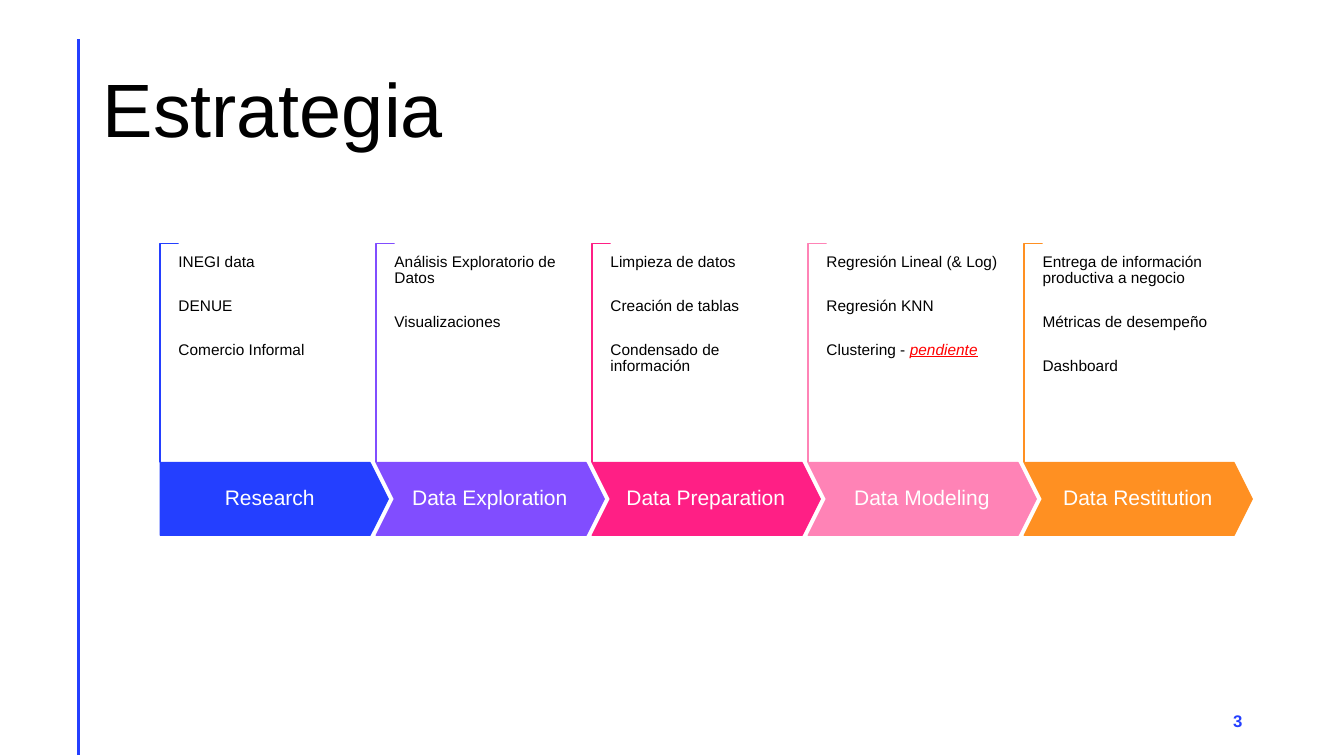
from dataclasses import dataclass
from pptx import Presentation
from pptx.dml.color import RGBColor as Rgb
from pptx.enum.shapes import MSO_CONNECTOR as Conn, MSO_SHAPE as Geo
from pptx.enum.text import MSO_ANCHOR as Anchor, PP_ALIGN as Align
from pptx.oxml.xmlchemy import OxmlElement as Node
from pptx.util import Inches, Pt


@dataclass(frozen=True)
class Theme:
    font: str = "Arial"
    ink: str = "000000"
    paper: str = "FFFFFF"
    blue: str = "243FFF"
    violet: str = "814DFF"
    pink: str = "FF1F85"
    rose: str = "FF83B6"
    orange: str = "FF9022"
    alert: str = "FF0000"
    title: int = 54
    label: int = 15
    page: int = 12
    body: int = 11


class Deck:
    def __init__(self, theme):
        self.theme = theme
        self.file = Presentation()
        self.file.slide_width = Inches(13.33)
        self.file.slide_height = Inches(7.5)
        self.slide = self.file.slides.add_slide(self.file.slide_layouts[6])

    def line(self, start, end, color, width):
        ends = [Inches(v) for v in (*start, *end)]
        line = self.slide.shapes.add_connector(Conn.STRAIGHT, *ends)
        line.line.color.rgb = Rgb.from_string(color)
        line.line.width = Pt(width)
        line._element.spPr.append(Node("a:effectLst"))

    def shape(self, kind, box, adjust, fill, edge, turn=0):
        shape = self.slide.shapes.add_shape(kind, *[Inches(v) for v in box])
        for i, value in enumerate(adjust):
            shape.adjustments[i] = value
        shape.rotation = turn
        shape.shadow.inherit = False
        shape.fill.solid()
        shape.fill.fore_color.rgb = Rgb.from_string(fill)
        shape.line.color.rgb = Rgb.from_string(edge)
        shape.line.width = Pt(1)

    def text(self, box, paras, size, color, align=Align.LEFT,
             anchor=Anchor.MIDDLE, inset=(0.1, 0.05), gap=0, lead=0.9):
        """Each paragraph is a list of (text, style) runs."""
        frame = self.slide.shapes.add_textbox(*[Inches(v) for v in box]).text_frame
        frame.word_wrap = True
        frame.vertical_anchor = anchor
        frame.margin_left = frame.margin_right = Inches(inset[0])
        frame.margin_top = frame.margin_bottom = Inches(inset[1])
        for i, runs in enumerate(paras):
            para = frame.paragraphs[0] if i == 0 else frame.add_paragraph()
            para.alignment = align
            para.line_spacing = lead
            para.space_before = Pt(gap if i else 0)
            for words, style in runs:
                self.run(para, words, size, **{"color": color, **style})

    def run(self, para, words, size, color, bold=False, italic=False,
            under=False, track=0):
        run = para.add_run()
        run.text = words
        font = run.font
        font.name, font.size = self.theme.font, Pt(size)
        font.bold, font.italic, font.underline = bold, italic, under
        font.color.rgb = Rgb.from_string(color)
        if track:
            run._r.get_or_add_rPr().set("spc", str(track * 100))

    def stage(self, left, name, items, color, first):
        theme = self.theme
        # Bracket, turned about its centre to stand on the arrow
        self.shape(Geo.CORNER, (left - 1, 3.41, 2.17, 0.18), (0.01, 0.01),
                   theme.paper, color, turn=90)
        # Arrow and its label
        kind = Geo.PENTAGON if first else Geo.CHEVRON
        self.shape(kind, (left, 4.59, 2.26, 0.72), (0.25,), color, color)
        label = (left, 4.59, 2.17, 0.72) if first else (left + 0.18, 4.59, 1.89, 0.72)
        self.text(label, plain(name), theme.label, theme.paper,
                  align=Align.CENTER, inset=(0.1, 0.21))
        # Tasks
        self.text((left + 0.18, 2.52, 1.83, 1.96 if first else 1.55), items,
                  theme.body, theme.ink, anchor=Anchor.TOP, inset=(0, 0), gap=19.5)


def plain(*items):
    return [[(item, {})] for item in items]


def main():
    theme = Theme()
    deck = Deck(theme)

    # Frame of the slide
    deck.line((0.78, 0.39), (0.78, 7.49), theme.blue, 2)
    deck.text((0.92, 0.4, 11.5, 1.45), plain("Estrategia"), theme.title, theme.ink)
    deck.text((9.42, 6.95, 3, 0.4), [[("3", {"bold": True, "track": 1})]],
              theme.page, theme.blue, align=Align.RIGHT, lead=1)

    # Process stages
    due = {"color": theme.alert, "italic": True, "under": True}
    stages = [
        ("Research", theme.blue,
         plain("INEGI data", "DENUE", "Comercio Informal")),
        ("Data Exploration", theme.violet,
         plain("Análisis Exploratorio de Datos", "Visualizaciones")),
        ("Data Preparation", theme.pink,
         plain("Limpieza de datos", "Creación de tablas",
               "Condensado de información")),
        ("Data Modeling", theme.rose,
         plain("Regresión Lineal (& Log)", "Regresión KNN")
         + [[("Clustering - ", {}), ("pendiente", due)]]),
        ("Data Restitution", theme.orange,
         plain("Entrega de información productiva a negocio",
               "Métricas de desempeño", "Dashboard")),
    ]
    first, last = 1.59, 10.16
    step = (last - first) / (len(stages) - 1)
    for i, (name, color, items) in enumerate(stages):
        deck.stage(first + i * step, name, items, color, i == 0)

    deck.file.save("out.pptx")


if __name__ == "__main__":
    main()
